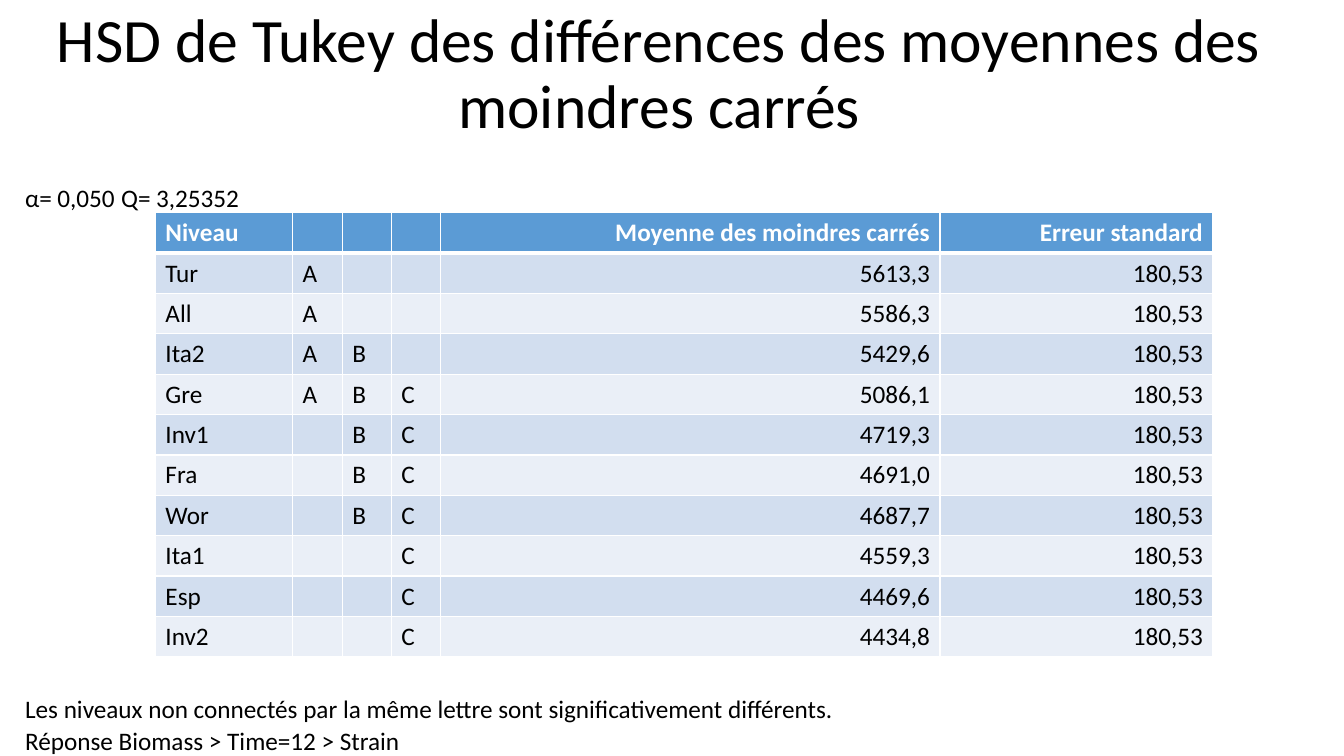
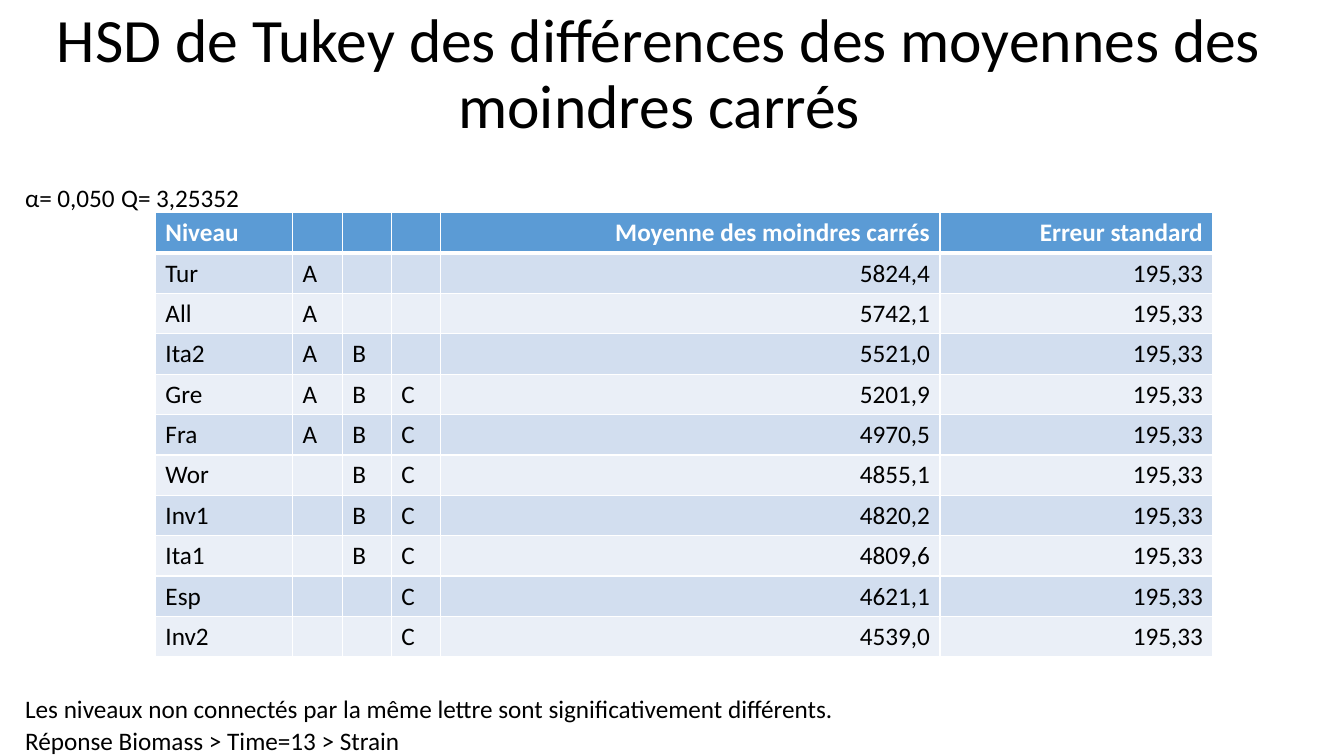
from lxml.etree import SubElement
from pptx import Presentation
from pptx.dml.color import RGBColor
from pptx.enum.text import MSO_ANCHOR, MSO_AUTO_SIZE, PP_ALIGN
from pptx.oxml.ns import qn
from pptx.util import Pt

# Shared look
HUES = {"ink": "000000", "paper": "FFFFFF", "head": "5B9BD5",
        "odd": "D2DEEF", "even": "EAEFF7"}
FONTS = {
    "title": {"name": "Calibri", "size": Pt(44), "bold": False},
    "text": {"name": "Calibri", "size": Pt(18), "bold": False},
    "head": {"name": "Calibri", "size": Pt(18), "bold": True},
}
TITLE_FRAME = {"vertical_anchor": MSO_ANCHOR.MIDDLE, "word_wrap": True,
               "auto_size": MSO_AUTO_SIZE.NONE}
LABEL_FRAME = {"margin_left": 0, "margin_right": 0, "margin_top": 0,
               "margin_bottom": 0, "word_wrap": False,
               "auto_size": MSO_AUTO_SIZE.SHAPE_TO_FIT_TEXT}

# Shared layout: left, top, width, height in points
TITLE_BOX = (0, 0, 942, 108)
STATS_BOX = (18, 130, 154, 22)
TABLE_BOX = (111, 152, 755.5, 317)
NOTES_BOX = (18, 495.5, 582, 44.5)
COLS = (98, 35.5, 35, 35, 357, 195)
GROUPS = "ABC"

# Shared wording
TITLE = "HSD de Tukey des différences des moyennes des moindres carrés"
STATS = ((0, "α="), (23, "0,050"), (68.5, "Q="), (93.5, "3,25352"))
HEADS = ("Niveau", "", "", "", "Moyenne des moindres carrés", "Erreur standard")
RULE = "Les niveaux non connectés par la même lettre sont significativement différents."

# Time, standard error, then level, groups and mean
TESTS = (
    (12, "180,53", (
        ("Tur", "A", "5613,3"), ("All", "A", "5586,3"),
        ("Ita2", "AB", "5429,6"), ("Gre", "ABC", "5086,1"),
        ("Inv1", "BC", "4719,3"), ("Fra", "BC", "4691,0"),
        ("Wor", "BC", "4687,7"), ("Ita1", "C", "4559,3"),
        ("Esp", "C", "4469,6"), ("Inv2", "C", "4434,8"))),
    (13, "195,33", (
        ("Tur", "A", "5824,4"), ("All", "A", "5742,1"),
        ("Ita2", "AB", "5521,0"), ("Gre", "ABC", "5201,9"),
        ("Fra", "ABC", "4970,5"), ("Wor", "BC", "4855,1"),
        ("Inv1", "BC", "4820,2"), ("Ita1", "BC", "4809,6"),
        ("Esp", "C", "4621,1"), ("Inv2", "C", "4539,0"))),
)


def apply(target, values):
    for name, value in values.items():
        setattr(target, name, value)


def write(frame, text, style, hue="ink", align=PP_ALIGN.LEFT):
    para = frame.paragraphs[0]
    para.alignment = align
    run = para.add_run()
    run.text = text
    apply(run.font, FONTS[style])
    run.font.color.rgb = RGBColor.from_string(HUES[hue])
    return para


def add_title(slide, box):
    title = slide.shapes.title
    apply(title, dict(zip(("left", "top", "width", "height"), map(Pt, box))))
    apply(title.text_frame, TITLE_FRAME)
    para = write(title.text_frame, TITLE, "title", align=PP_ALIGN.CENTER)
    para.line_spacing = 0.9


def add_label(slide, box, text):
    frame = slide.shapes.add_textbox(*map(Pt, box)).text_frame
    apply(frame, LABEL_FRAME)
    write(frame, text, "text")


def add_stats(slide, box):
    left, top, width, height = box
    ends = [start for start, _ in STATS[1:]] + [width]
    for (start, text), end in zip(STATS, ends):
        add_label(slide, (left + start, top, end - start, height), text)


def add_notes(slide, box, time):
    left, top, width, height = box
    step = height / 2
    for row, text in enumerate((RULE, f"Réponse Biomass > Time={time} > Strain")):
        add_label(slide, (left, top + row * step, width, step), text)


def add_edges(cell, row):
    # Borders come before the fill; the rule under the header is thicker
    props = cell._tc.get_or_add_tcPr()
    sides = {"lnL": 1, "lnR": 1, "lnT": 3 if row == 1 else 1,
             "lnB": 3 if row == 0 else 1}
    for side, width in sides.items():
        line = SubElement(props, qn(f"a:{side}"), w=str(Pt(width)))
        fill = SubElement(line, qn("a:solidFill"))
        SubElement(fill, qn("a:srgbClr"), val=HUES["paper"])


def add_grid(slide, box, error, levels):
    rows = [HEADS] + [
        (name, *(g if g in groups else "" for g in GROUPS), mean, error)
        for name, groups, mean in levels]
    table = slide.shapes.add_table(len(rows), len(COLS), *map(Pt, box)).table
    for col, width in zip(table.columns, COLS):
        col.width = Pt(width)
    for r, texts in enumerate(rows):
        table.rows[r].height = Pt(box[3] / len(rows))
        style, hue = ("text", "ink") if r else ("head", "paper")
        band = ("even", "odd")[r % 2] if r else "head"
        for c, text in enumerate(texts):
            cell = table.cell(r, c)
            add_edges(cell, r)
            cell.fill.solid()
            cell.fill.fore_color.rgb = RGBColor.from_string(HUES[band])
            if text:
                align = PP_ALIGN.RIGHT if c > len(GROUPS) else PP_ALIGN.LEFT
                write(cell.text_frame, text, style, hue, align)


def add_test(deck, time, error, levels):
    slide = deck.slides.add_slide(deck.slide_layouts[5])
    add_title(slide, TITLE_BOX)
    add_stats(slide, STATS_BOX)
    add_grid(slide, TABLE_BOX, error, levels)
    add_notes(slide, NOTES_BOX, time)


def main():
    deck = Presentation()
    deck.slide_width, deck.slide_height = Pt(960), Pt(540)
    for test in TESTS:
        add_test(deck, *test)
    deck.save("out.pptx")


if __name__ == "__main__":
    main()
